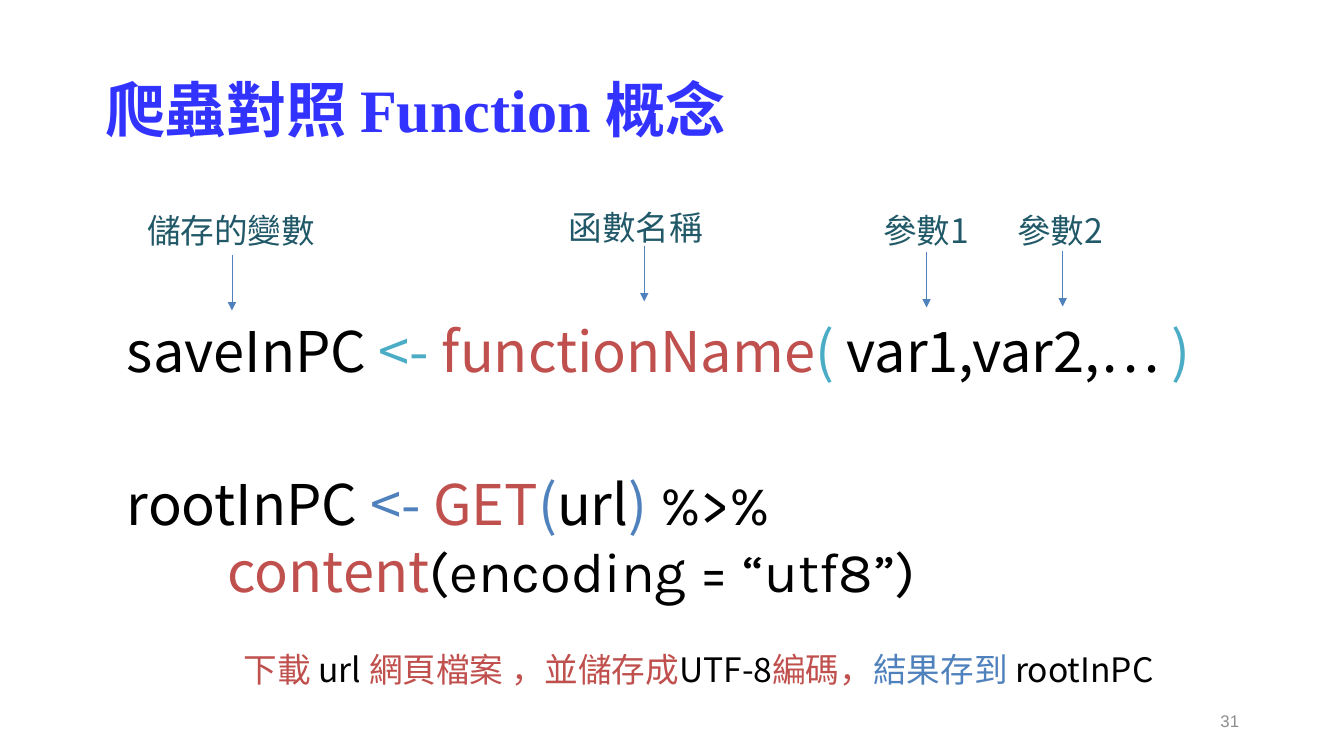
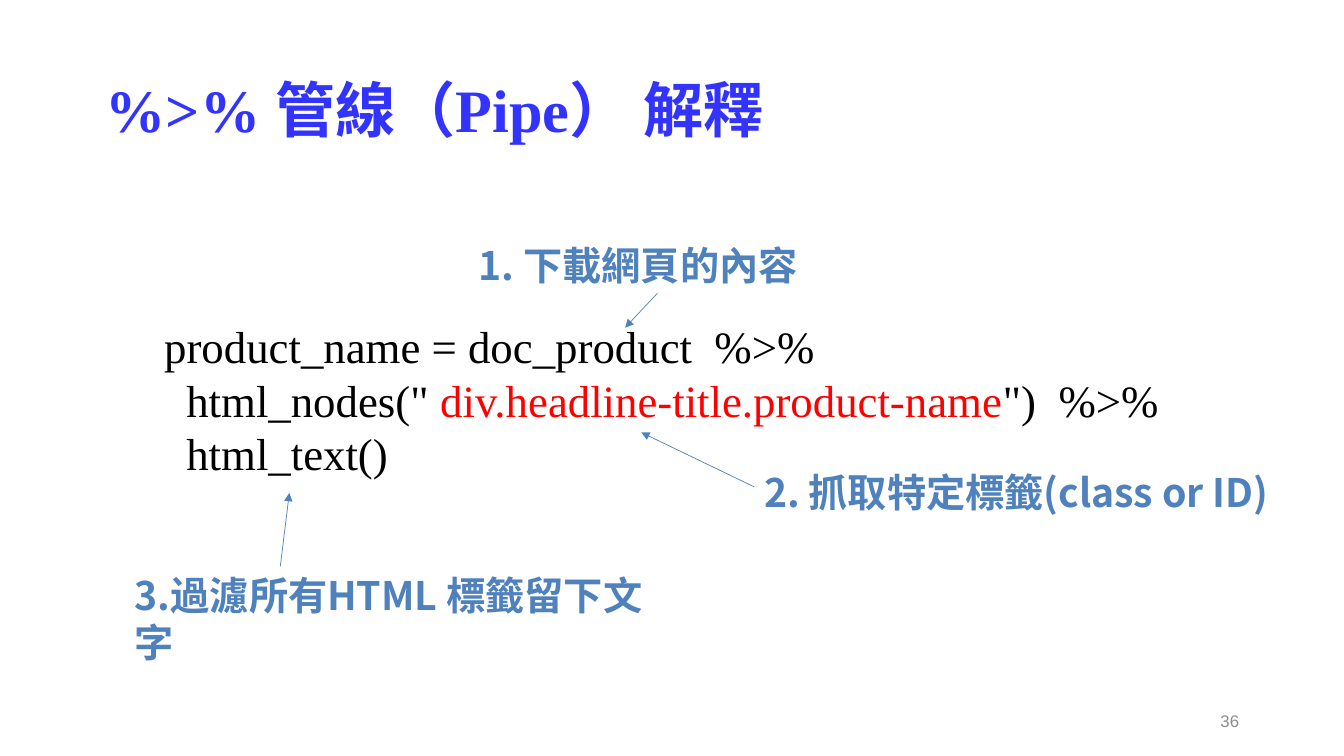
from dataclasses import dataclass
from typing import Optional

from lxml.etree import SubElement
from pptx import Presentation
from pptx.dml.color import RGBColor as Rgb
from pptx.enum.shapes import MSO_CONNECTOR as Conn
from pptx.enum.text import MSO_ANCHOR as Anchor, PP_ALIGN as Align
from pptx.oxml.ns import qn
from pptx.shapes.autoshape import Shape
from pptx.slide import Slide
from pptx.util import Emu, Pt

SCALE = 9144  # EMU per px, 100 px to the inch


def px(n: int) -> Emu:
    return Emu(n * SCALE)


@dataclass(frozen=True)
class Theme:
    title: str = "3333FF"
    blue: str = "4F81BD"
    aqua: str = "4BACC6"
    red: str = "C0504D"
    teal: str = "215968"
    alert: str = "FF0000"
    black: str = "000000"
    gray: str = "8C8C8C"
    sans: str = "Noto Sans CJK SC"
    serif: str = "Times New Roman"
    code: str = "Karla"
    plain: str = "Arial"
    head: int = 43
    large: int = 40
    mid: int = 32
    step: int = 28
    note: int = 24
    foot: int = 12
    line: float = 0.5


T = Theme()


@dataclass(frozen=True)
class Run:
    text: str
    color: str = T.black
    font: str = T.sans


@dataclass(frozen=True)
class Para:
    runs: list[Run]
    indent: int = 0


@dataclass(frozen=True)
class Box:
    left: int
    top: int
    width: int
    height: int


@dataclass(frozen=True)
class Style:
    size: int
    bold: bool = False
    inset: tuple[int, int] = (10, 5)
    anchor: Anchor = Anchor.TOP
    align: Align = Align.LEFT
    space: float = 1.0


@dataclass(frozen=True)
class Label:
    """A short text and its arrow; site is the side the arrow is joined to."""
    text: str
    box: Box
    start: tuple[int, int]
    end: tuple[int, int]
    site: Optional[int] = None


HEAD = Style(T.head, True, (13, 7), Anchor.MIDDLE, space=0.9)
FOOT = Style(T.foot, False, (13, 7), Anchor.MIDDLE, Align.RIGHT)
CODE = Style(T.large, inset=(20, 20))
LIST = Style(T.mid)
NOTE = Style(T.note)
STEP = Style(T.step, bold=True)
HEAD_BOX = Box(92, 40, 1150, 145)
FOOT_BOX = Box(942, 695, 300, 40)


def add_text(slide: Slide, box: Box, paras: list[Para], style: Style) -> Shape:
    shape = slide.shapes.add_textbox(
        px(box.left), px(box.top), px(box.width), px(box.height))
    frame = shape.text_frame
    frame.word_wrap = True
    frame.vertical_anchor = style.anchor
    side, edge = style.inset
    frame.margin_left = frame.margin_right = px(side)
    frame.margin_top = frame.margin_bottom = px(edge)
    for i, item in enumerate(paras):
        para = frame.add_paragraph() if i else frame.paragraphs[0]
        para.alignment = style.align
        para.line_spacing = style.space
        if item.indent:
            para._p.get_or_add_pPr().set("marL", str(px(item.indent)))
        for part in item.runs:
            run = para.add_run()
            run.text = part.text
            font = run.font
            font.size, font.bold, font.name = Pt(style.size), style.bold, part.font
            font.color.rgb = Rgb.from_string(part.color)
            east = SubElement(run._r.get_or_add_rPr(), qn("a:ea"))
            east.set("typeface", T.sans)
    return shape


def add_label(slide: Slide, label: Label, style: Style, color: str) -> None:
    shape = add_text(slide, label.box, [Para([Run(label.text, color)])], style)
    ends = [px(n) for n in (*label.start, *label.end)]
    arrow = slide.shapes.add_connector(Conn.STRAIGHT, *ends)
    if label.site is not None:
        arrow.begin_connect(shape, label.site)
    arrow.line.width = Pt(T.line)
    arrow.line.color.rgb = Rgb.from_string(T.blue)
    SubElement(arrow.line._get_or_add_ln(), qn("a:tailEnd")).set("type", "triangle")
    SubElement(arrow._element.spPr, qn("a:effectLst"))


def add_page(deck: Presentation, title: str, number: int) -> Slide:
    """Add a blank slide with the shared title and page number."""
    slide = deck.slides.add_slide(deck.slide_layouts[6])
    add_text(slide, HEAD_BOX, [Para([Run(title, T.title, T.serif)])], HEAD)
    add_text(slide, FOOT_BOX, [Para([Run(str(number), T.gray, T.plain)])], FOOT)
    return slide


def add_calls(deck: Presentation) -> None:
    slide = add_page(deck, "爬蟲對照 Function 概念", 31)
    add_text(slide, Box(106, 294, 1097, 107), [Para([
        Run("saveInPC "), Run("<- ", T.aqua), Run("functionName", T.red),
        Run("(", T.aqua), Run(" var1,var2,… "), Run(")", T.aqua),
    ])], CODE)
    labels = [
        Label("儲存的變數", Box(136, 203, 188, 50), (230, 253), (230, 308), 2),
        Label("函數名稱", Box(554, 200, 155, 50), (639, 244), (639, 299)),
        Label("參數1", Box(866, 203, 107, 50), (919, 250), (919, 305)),
        Label("參數2", Box(999, 203, 107, 50), (1054, 249), (1054, 304)),
    ]
    for label in labels:
        add_label(slide, label, NOTE, T.teal)
    add_text(slide, Box(232, 639, 953, 50), [Para([
        Run("下載 ", T.red), Run("url "), Run("網頁檔案 ，並儲存成", T.red),
        Run("UTF-8"), Run("編碼，", T.red), Run("結果存到 ", T.blue),
        Run("rootInPC"),
    ])], NOTE)
    add_text(slide, Box(106, 446, 1136, 174), [
        Para([
            Run("rootInPC "), Run("<- ", T.blue), Run("GET", T.red),
            Run("(", T.blue), Run("url"), Run(") ", T.blue),
            Run("%>%", font=T.code),
        ]),
        Para([Run("content", T.red),
              Run("(encoding = “utf8”)", font=T.code)], indent=100),
    ], CODE)


def add_pipe(deck: Presentation) -> None:
    slide = add_page(deck, "%>% 管線（Pipe） 解釋", 36)
    add_text(slide, Box(153, 311, 1027, 172), [
        Para([Run("product_name = doc_product  %>%", font=T.serif)]),
        Para([
            Run("html_nodes(\" ", font=T.serif),
            Run("div.headline-title.product-name", T.alert, T.serif),
            Run("\")  %>%", font=T.serif),
        ], indent=22),
        Para([Run("html_text()", font=T.serif)], indent=22),
    ], LIST)
    labels = [
        Label("1. 下載網頁的內容", Box(465, 234, 374, 57), (652, 291), (620, 325), 2),
        Label("2. 抓取特定標籤(class or ID)", Box(748, 460, 570, 57),
              (748, 483), (636, 429)),
        Label("3.過濾所有HTML 標籤留下文字", Box(124, 562, 550, 57),
              (278, 562), (287, 489)),
    ]
    for label in labels:
        add_label(slide, label, STEP, T.blue)


def main() -> None:
    deck = Presentation()
    deck.slide_width, deck.slide_height = px(1333), px(750)
    add_calls(deck)
    add_pipe(deck)
    deck.save("out.pptx")


if __name__ == "__main__":
    main()
